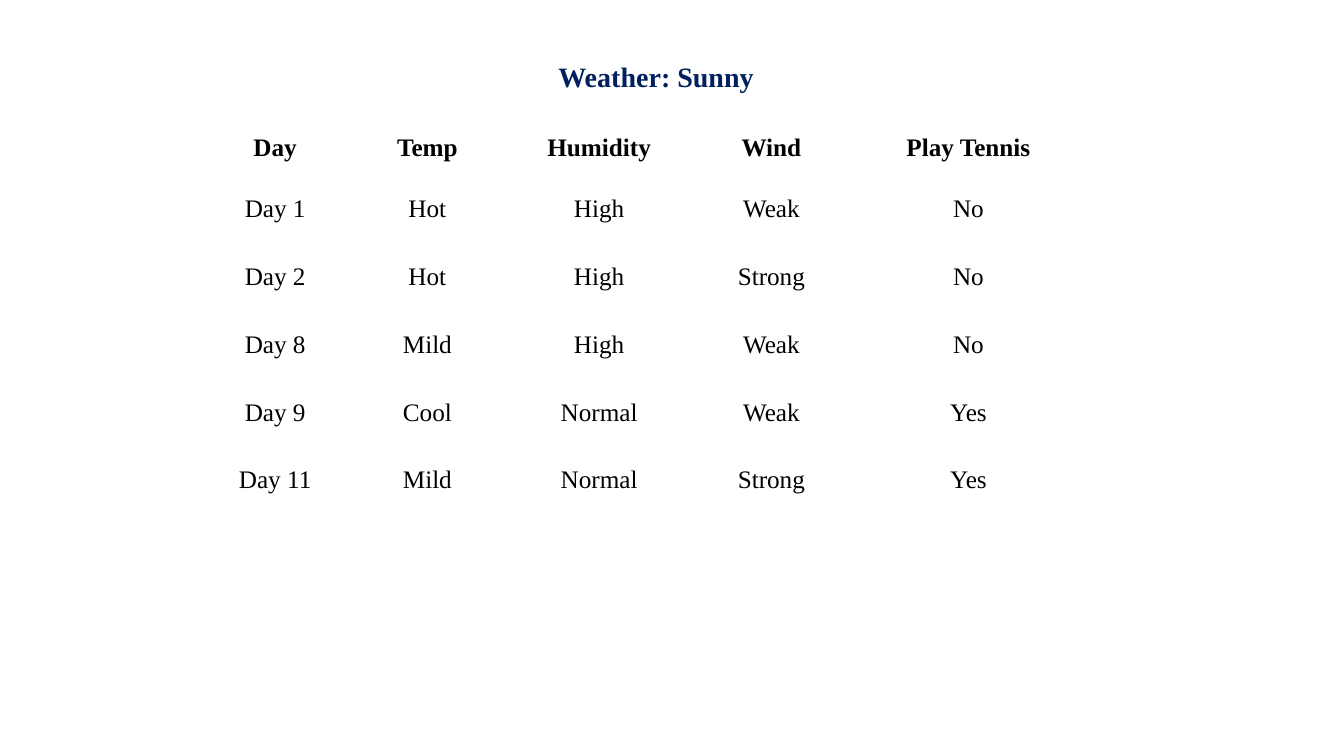
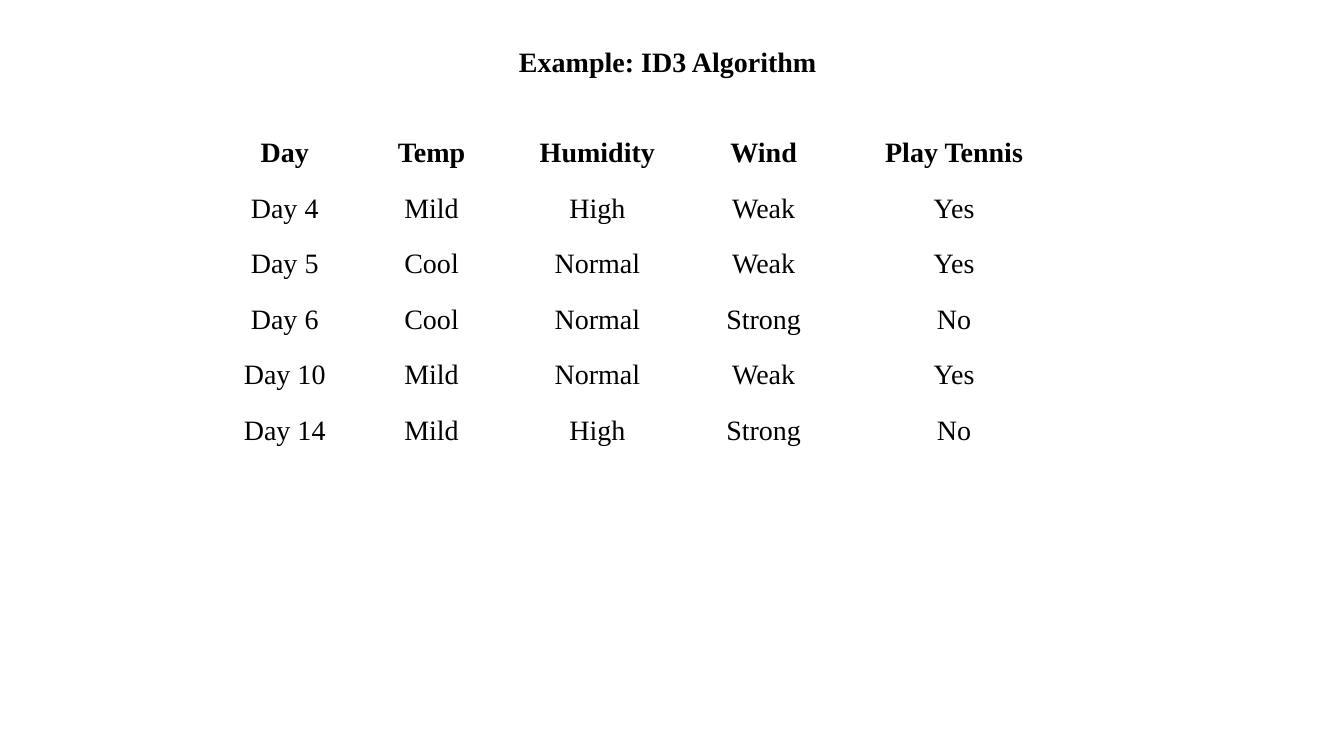
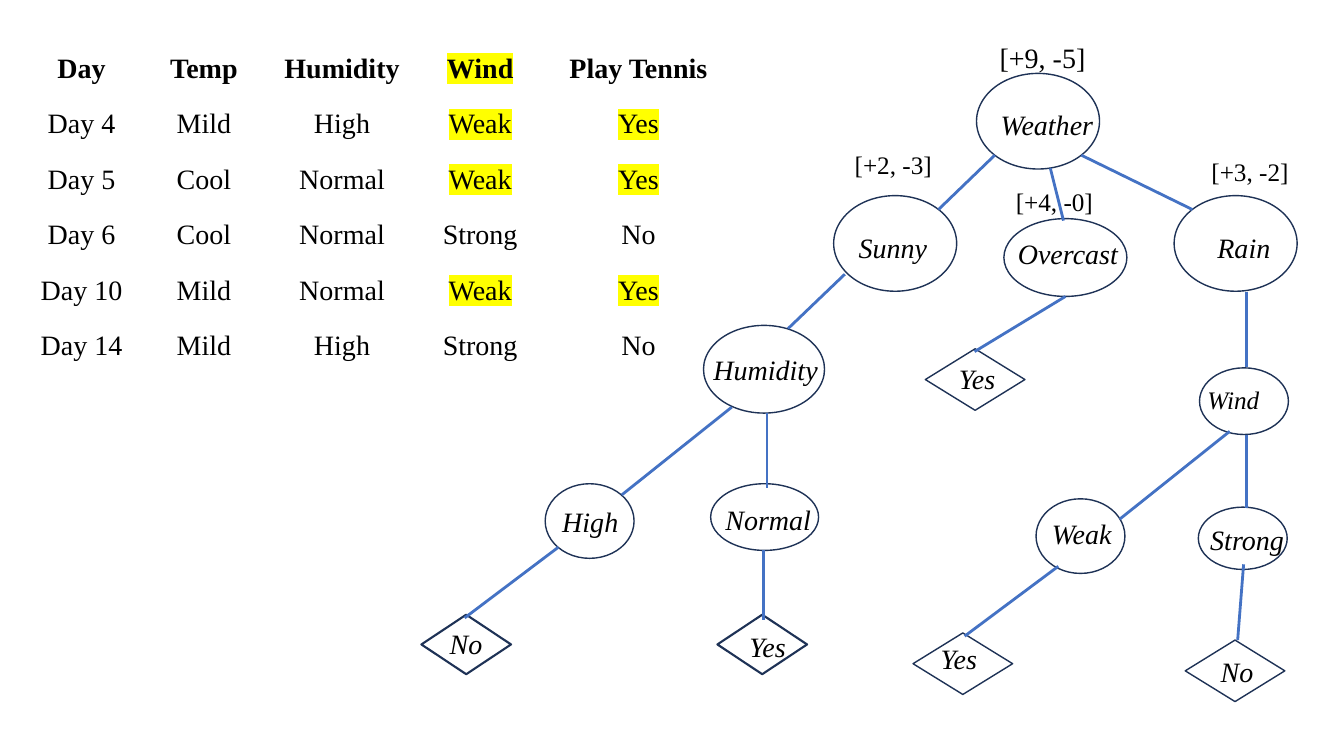
from pptx import Presentation
from pptx import util as u
from pptx.dml.color import RGBColor
from pptx.enum import shapes, text
from pptx.oxml import ns
from lxml import etree

BLACK = RGBColor(0, 0, 0)
WHITE = RGBColor(255, 255, 255)
TITLE_BLUE = RGBColor(0x00, 0x20, 0x60)
EDGE_BLUE = RGBColor(0x44, 0x72, 0xC4)
OUTLINE = RGBColor(0x1E, 0x32, 0x56)
YELLOW = RGBColor(0xFF, 0xFF, 0x00)

LEFT, CENTER = text.PP_ALIGN.LEFT, text.PP_ALIGN.CENTER
ELLIPSE, DIAMOND = shapes.MSO_SHAPE.OVAL, shapes.MSO_SHAPE.DIAMOND

HEADER = ("Day", "Temp", "Humidity", "Wind", "Play Tennis")
SUNNY_DAYS = (
    HEADER,
    ("Day 1", "Hot", "High", "Weak", "No"),
    ("Day 2", "Hot", "High", "Strong", "No"),
    ("Day 8", "Mild", "High", "Weak", "No"),
    ("Day 9", "Cool", "Normal", "Weak", "Yes"),
    ("Day 11", "Mild", "Normal", "Strong", "Yes"),
)
RAIN_DAYS = (
    HEADER,
    ("Day 4", "Mild", "High", "Weak", "Yes"),
    ("Day 5", "Cool", "Normal", "Weak", "Yes"),
    ("Day 6", "Cool", "Normal", "Strong", "No"),
    ("Day 10", "Mild", "Normal", "Weak", "Yes"),
    ("Day 14", "Mild", "High", "Strong", "No"),
)

ATTRIBUTE_NODES = (
    ("Weather", (24.61, 1.85, 3.1, 2.41), (24.97, 2.59, 3.1), 20),
    ("Sunny", (21.01, 4.93, 3.1, 2.41), (21.39, 5.69, 2.72), 20),
    ("Overcast", (25.3, 5.51, 3.1, 1.96), (25.4, 5.84, 3.2), 20),
    ("Rain", (29.59, 4.93, 3.1, 2.41), (30.43, 5.69, 2.72), 20),
    ("Humidity", (17.73, 8.2, 3.05, 2.21), (17.73, 8.76, 3.28), 20),
    ("Wind", (30.23, 9.27, 2.24, 1.68), (30.18, 9.55, 2.39), 18),
    ("High", (13.74, 12.19, 2.24, 1.88), (13.92, 12.6, 2.1), 20),
    ("Normal", (17.91, 12.19, 2.72, 1.68), (18.03, 12.55, 2.8), 20),
    ("Weak", (26.11, 12.57, 2.24, 1.88), (26.26, 12.88, 2.16), 20),
    ("Strong", (30.2, 12.78, 2.24, 1.57), (30.25, 13.03, 2.5), 20),
)
DECISION_NODES = (
    ("Yes", (23.32, 8.79, 2.51, 1.55), (23.19, 8.99, 2.87), 1),
    ("No", (10.62, 15.49, 2.26, 1.5), (10.31, 15.67, 2.87), 1.5),
    ("Yes", (18.08, 15.49, 2.26, 1.5), (17.91, 15.75, 2.87), 1.5),
    ("Yes", (23.01, 15.95, 2.51, 1.55), (22.73, 16.03, 2.87), 1),
    ("No", (29.87, 16.13, 2.51, 1.55), (29.74, 16.38, 2.87), 1),
)
EDGES = (
    (25.07, 3.91, 23.65, 5.28),
    (26.47, 4.24, 26.8, 5.56),
    (27.25, 3.91, 30.05, 5.28),
    (21.29, 6.91, 19.86, 8.28),
    (26.85, 7.47, 24.56, 8.86),
    (31.42, 7.37, 31.42, 9.25),
    (18.44, 10.26, 15.67, 12.47),
    (19.33, 10.41, 19.33, 12.29),
    (30.99, 10.87, 28.22, 13.08),
    (31.42, 10.95, 31.42, 12.8),
    (14.07, 13.79, 11.71, 15.57),
    (19.25, 13.87, 19.25, 15.62),
    (26.67, 14.27, 24.31, 16.03),
    (31.34, 14.22, 31.19, 16.13),
)
COUNTS = (
    ("[+9, -5]", (24.94, 0.89, 3.1), 20),
    ("[+2, -3]", (21.29, 3.63, 2.6), 18),
    ("[+4, -0]", (25.35, 4.57, 3.81), 18),
    ("[+3, -2]", (30.28, 3.81, 2.72), 18),
)


class Deck:
    """Holds the shared style and the slide being drawn."""

    font = "Times New Roman"
    line_height = {18: 1.02, 20: 1.12}

    def __init__(self):
        self.deck = Presentation()
        self.deck.slide_width = u.Cm(33.87)
        self.deck.slide_height = u.Cm(19.05)
        self.page = None

    def new_page(self):
        self.page = self.deck.slides.add_slide(self.deck.slide_layouts[6])

    def put_text(self, frame, words, size, align=LEFT, color=BLACK, highlight=None, **style):
        para = frame.paragraphs[0]
        para.alignment = align
        span = para.add_run()
        span.text = words
        values = {"name": self.font, "size": u.Pt(size), **style}
        for name, value in values.items():
            setattr(span.font, name, value)
        span.font.color.rgb = color
        if highlight:
            mark = etree.Element(ns.qn("a:highlight"))
            etree.SubElement(mark, ns.qn("a:srgbClr"), val=str(highlight))
            span._r.rPr.find(ns.qn("a:solidFill")).addnext(mark)

    def label(self, words, place, size=20, **style):
        left, top, width = place
        lengths = map(u.Cm, (left, top, width, self.line_height[size]))
        frame = self.page.shapes.add_textbox(*lengths).text_frame
        frame.word_wrap = True
        frame.auto_size = text.MSO_AUTO_SIZE.SHAPE_TO_FIT_TEXT
        self.put_text(frame, words, size, **style)

    def title(self, words, place, color=BLACK):
        self.label(words, place, color=color, bold=True)

    def table(self, rows, corner, widths, heights, size, marked=()):
        extent = (*corner, sum(widths), sum(heights))
        grid = self.page.shapes.add_table(len(rows), len(widths), *map(u.Cm, extent)).table
        for column, width in zip(grid.columns, widths):
            column.width = u.Cm(width)
        for r, (row, height) in enumerate(zip(rows, heights)):
            grid.rows[r].height = u.Cm(height)
            for c, words in enumerate(row):
                self.cell(grid.cell(r, c), words, size, r == 0, YELLOW if words in marked else None)

    def cell(self, cell, words, size, bold, highlight):
        values = {"vertical_anchor": text.MSO_ANCHOR.MIDDLE, "margin_left": u.Cm(0.02),
                  "margin_right": u.Cm(0.02), "margin_top": u.Cm(0.02), "margin_bottom": 0}
        for name, value in values.items():
            setattr(cell, name, value)
        cell.fill.background()
        self.put_text(cell.text_frame, words, size, CENTER, highlight=highlight, bold=bold)

    def node(self, kind, place, weight=1, fill=None):
        shape = self.page.shapes.add_shape(kind, *map(u.Cm, place))
        shape.shadow.inherit = False
        if fill:
            shape.fill.solid()
            shape.fill.fore_color.rgb = fill
        else:
            shape.fill.background()
        shape.line.color.rgb = OUTLINE
        shape.line.width = u.Pt(weight)

    def edge(self, ends):
        line = self.page.shapes.add_connector(shapes.MSO_CONNECTOR.STRAIGHT, *map(u.Cm, ends))
        line.line.color.rgb = EDGE_BLUE
        line.line.width = u.Pt(2)
        etree.SubElement(line._element.spPr, ns.qn("a:effectLst"))


def sunny_page(deck):
    deck.new_page()
    deck.table(SUNNY_DAYS, (5.26, 3.05), (3.35, 4.32, 4.34, 4.34, 5.59), [1.35] + [1.71] * 5, 18)
    deck.title("Weather: Sunny", (13.82, 1.37, 8.28), TITLE_BLUE)


def rain_page(deck):
    deck.new_page()
    deck.table(RAIN_DAYS, (5.56, 3.15), (3.23, 4.17, 4.19, 4.19, 5.41), [1.4] * 6, 20)
    deck.title("Example: ID3 Algorithm", (12.83, 0.99, 16.94))


def tree_page(deck):
    deck.new_page()
    deck.table(RAIN_DAYS, (0.71, 1.02), (2.69, 3.48, 3.48, 3.48, 4.5), [1.4] * 6, 20,
               marked=("Wind", "Weak", "Yes"))
    for _, place, _, _ in ATTRIBUTE_NODES:
        deck.node(ELLIPSE, place)
    for _, place, _, weight in DECISION_NODES:
        deck.node(DIAMOND, place, weight, WHITE)
    for ends in EDGES:
        deck.edge(ends)
    for words, _, place, size in ATTRIBUTE_NODES:
        deck.label(words, place, size, italic=True)
    for words, _, place, _ in DECISION_NODES:
        deck.label(words, place, align=CENTER, italic=True)
    for words, place, size in COUNTS:
        deck.label(words, place, size)


def main():
    deck = Deck()
    sunny_page(deck)
    rain_page(deck)
    tree_page(deck)
    deck.deck.save("out.pptx")


if __name__ == "__main__":
    main()
